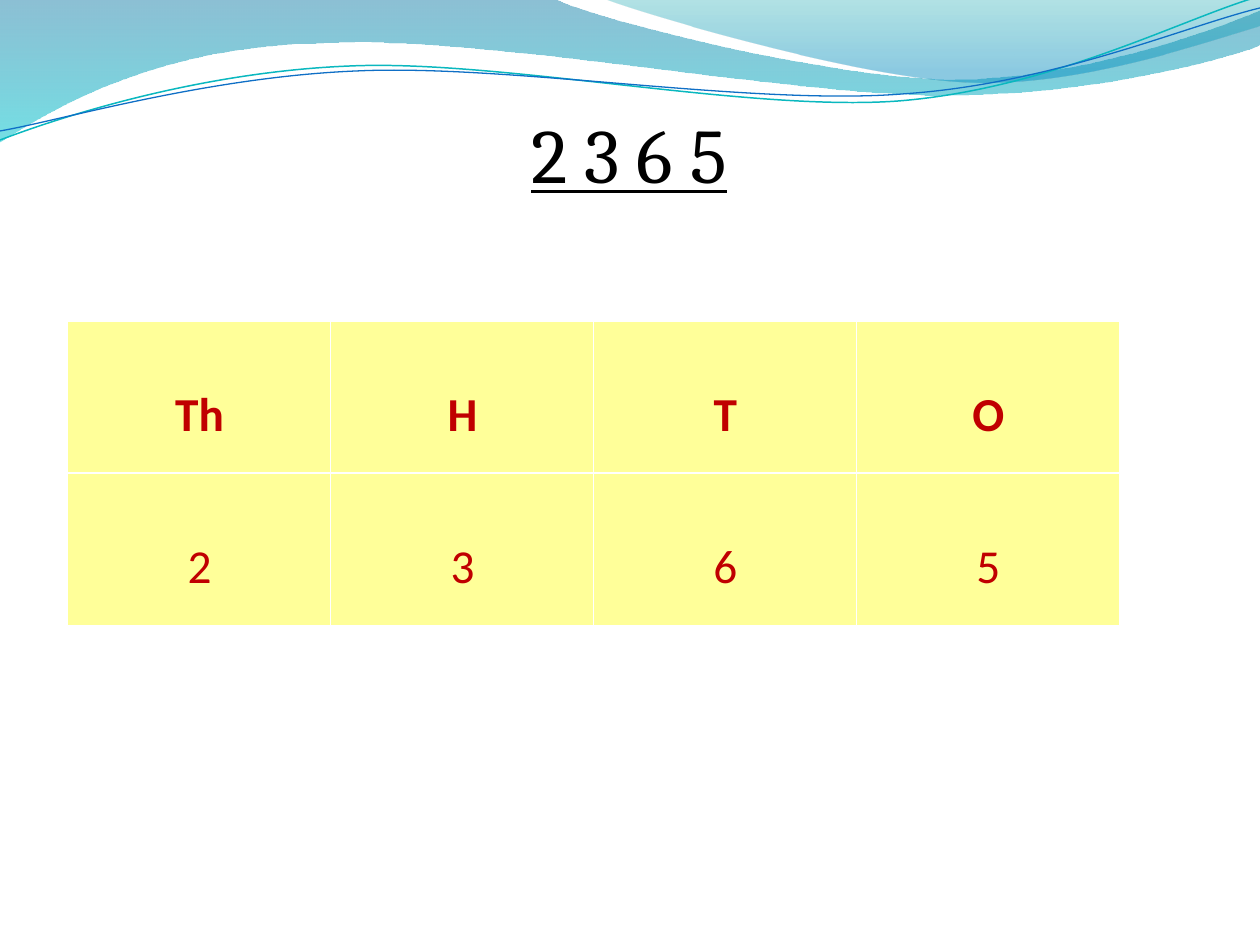
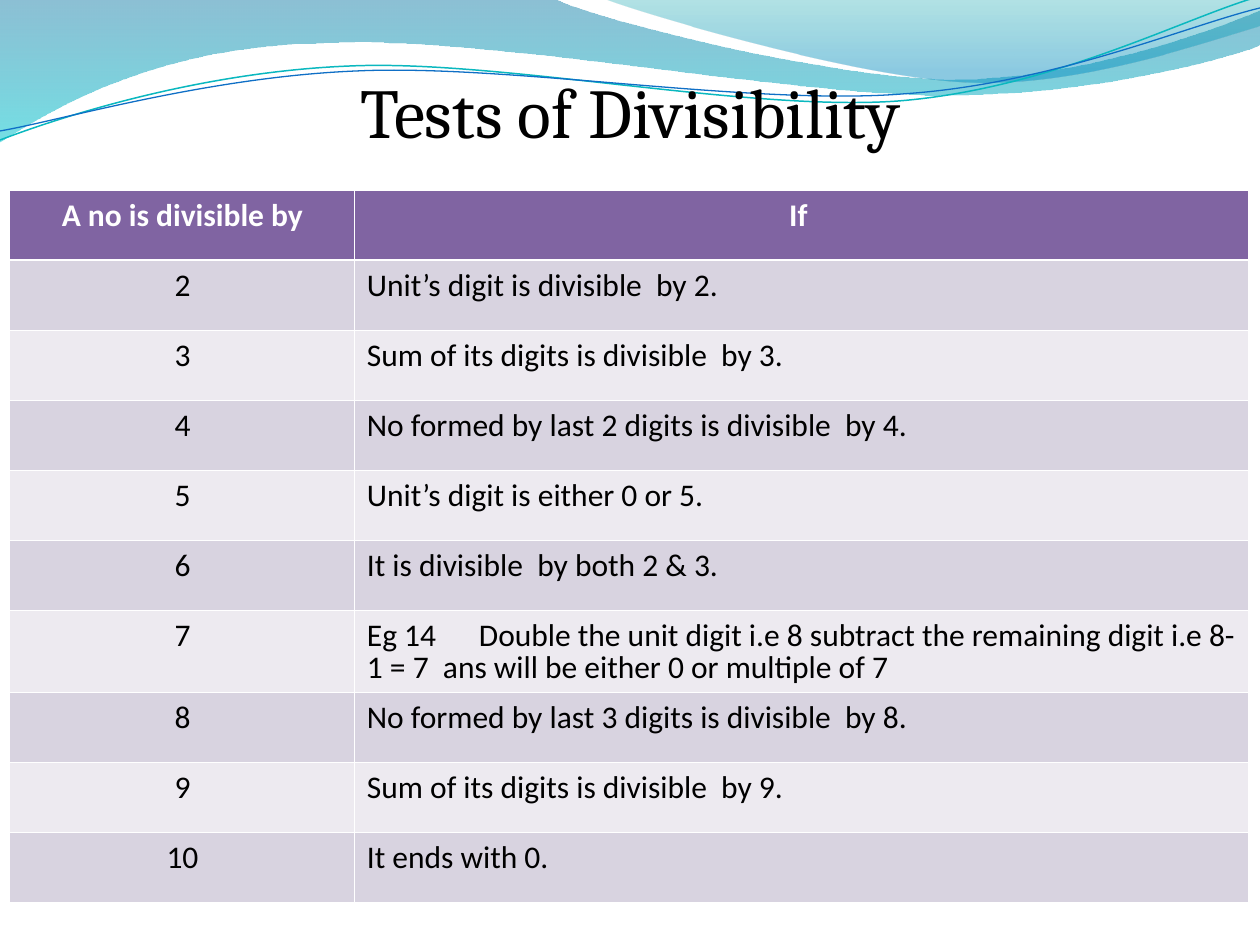
import pptx
import pptx.dml.color
import pptx.enum.text
import pptx.oxml
import pptx.oxml.ns
import pptx.util
from lxml import etree

PX = 914400 / 126  # EMU in one px
COLOURS = {
    "teal line": "0AB8BF", "blue line": "0F6FC6", "white": "FFFFFF", "black": "000000",
    "yellow": "FFFF99", "red": "C00000", "purple": "8064A2",
    "band dark": "D8D3E0", "band light": "EDEAF0",
}
ALIGN = pptx.enum.text.PP_ALIGN
MIDDLE = pptx.enum.text.MSO_ANCHOR.MIDDLE
DRAWING = pptx.oxml.ns.nsdecls("a")
qn = pptx.oxml.ns.qn

# Each step holds one end point, or two control points and an end point.
# Gradient stops are (position %, colour, opacity %).
WAVES = [
    {"start": (0, 0), "stops": [(0, "0074A1", 45), (100, "00C6CF", 55)], "steps": [
        [(554, -1)],
        [(600, 21), (837, 79), (955, 79)], [(1075, 79), (1207, 33), (1260, 11)],
        [(1261, 45)],
        [(1239, 55), (1096, 96), (940, 95)], [(784, 95), (481, 35), (324, 43)],
        [(163, 45), (58, 105), (-1, 142)]]},
    {"start": (604, -1), "stops": [(0, "00A1A9", 30), (80, "008BBF", 45)], "steps": [
        [(641, 14), (859, 78), (969, 82)], [(1079, 87), (1211, 40), (1260, 26)],
        [(1260, 0)]]},
    {"start": (0, 140), "line": ("teal line", 0.85), "steps": [
        [(60, 117), (199, 72), (349, 66)], [(498, 59), (747, 112), (898, 101)],
        [(1050, 89), (1182, 19), (1257, -3)]]},
    {"start": (0, 131), "line": ("blue line", 0.75), "steps": [
        [(59, 121), (207, 77), (357, 71)], [(508, 64), (752, 106), (903, 94)],
        [(1053, 84), (1186, 26), (1260, 8)]]},
]

# In a cell, \t goes to the tab stop and \v starts a new line.
SLIDES = [
    {"title": "2 3 6 5", "title at": (62, 74), "title font": {"size": 44, "underline": True},
     "at": (67, 321), "columns": [263] * 4, "heights": [152] * 2, "top inset": 72,
     "font size": 27, "aligns": [ALIGN.CENTER] * 4,
     "head": ("yellow", "red"), "bands": ["yellow"], "body text": "red",
     "rows": [["Th", "H", "T", "O"], ["2", "3", "6", "5"]]},
    {"title": "Tests of Divisibility", "title at": (63, 32), "title font": {"size": 40},
     "at": (9, 190), "columns": [345, 894], "heights": [70] * 6 + [82] + [70] * 3,
     "top inset": 11, "font size": 18, "aligns": [ALIGN.CENTER, ALIGN.LEFT],
     "head": ("purple", "white"), "bands": ["band dark", "band light"], "body text": "black",
     "rows": [
         ["A no is divisible by", "If "],
         ["2", "Unit’s digit is divisible  by 2."],
         ["3", "Sum of its digits is divisible  by 3."],
         ["4", "No formed by last 2 digits is divisible  by 4."],
         ["5", "Unit’s digit is either 0 or 5."],
         ["6", "It is divisible  by both 2 & 3."],
         ["7", "Eg 14\tDouble the unit digit i.e 8 subtract the remaining digit i.e 8-\v1 = 7"
               "  ans will be either 0 or multiple of 7"],
         ["8", "No formed by last 3 digits is divisible  by 8."],
         ["9", "Sum of its digits is divisible  by 9."],
         ["10", "It ends with 0."]]},
]


def px(*lengths):
    return [pptx.util.Emu(round(length * PX)) for length in lengths]


def write(para, text, colour, align, font):
    """Put formatted text in a paragraph."""
    para.alignment = align
    for i, line in enumerate(text.split("\v")):
        if i:
            para.add_line_break()
        span = para.add_run()
        span.text = line
        span.font.color.rgb = pptx.dml.color.RGBColor.from_string(COLOURS[colour])
        for name, value in font.items():
            setattr(span.font, name, pptx.util.Pt(value) if name == "size" else value)


deck = pptx.Presentation()
deck.slide_width, deck.slide_height = px(1260, 945)
layout = deck.slide_layouts[6]
for placeholder in list(layout.placeholders):
    placeholder._element.getparent().remove(placeholder._element)
pages = [deck.slides.add_slide(layout) for _ in SLIDES]

# Waves across the top, shared through the layout
waves = []
for wave in WAVES:
    builder = pages[0].shapes.build_freeform(*px(*wave["start"]))
    builder.add_line_segments([px(*point) for step in wave["steps"] for point in step],
                              close="stops" in wave)
    shape = builder.convert_to_shape()
    waves.append(shape._element)

    # Join the three points of each curved step into one Bézier segment
    segments = iter(list(shape._element.iter(qn("a:lnTo"))))
    for step in wave["steps"]:
        first, *others = [next(segments) for _ in step]
        if others:
            curve = etree.Element(qn("a:cubicBezTo"))
            first.getparent().replace(first, curve)
            for segment in (first, *others):
                curve.append(segment[0])
            for segment in others:
                segment.getparent().remove(segment)

    shape.shadow.inherit = False
    shape.fill.background()
    if "line" in wave:
        colour, width = wave["line"]
        shape.line.color.rgb = pptx.dml.color.RGBColor.from_string(COLOURS[colour])
        shape.line.width = pptx.util.Pt(width)
    else:
        shape.line.fill.background()
        stops = "".join(
            f'<a:gs pos="{place * 1000}"><a:srgbClr val="{colour}">'
            f'<a:alpha val="{opacity * 1000}"/></a:srgbClr></a:gs>'
            for place, colour, opacity in wave["stops"])
        gradient = pptx.oxml.parse_xml(
            f'<a:gradFill {DRAWING} rotWithShape="1"><a:gsLst>{stops}</a:gsLst>'
            '<a:lin ang="5400000" scaled="0"/></a:gradFill>')
        no_fill = shape._element.spPr.find(qn("a:noFill"))
        no_fill.getparent().replace(no_fill, gradient)
for element in waves:
    layout.shapes._spTree.append(element)

for page, content in zip(pages, SLIDES):
    # Table
    rows, columns, heights = content["rows"], content["columns"], content["heights"]
    frame = page.shapes.add_table(
        len(rows), len(columns), *px(*content["at"], sum(columns), sum(heights)))
    table = frame.table
    table.first_row = table.horz_banding = False
    for column, width in zip(table.columns, columns):
        column.width = px(width)[0]
    bands = content["bands"]
    for r, row in enumerate(rows):
        table.rows[r].height = px(heights[r])[0]
        fill, colour = content["head"] if r == 0 else (
            bands[(r - 1) % len(bands)], content["body text"])
        for c, text in enumerate(row):
            cell = table.cell(r, c)
            margins = {"left": 13, "right": 11, "top": content["top inset"], "bottom": 6}
            for side, inset in margins.items():
                setattr(cell, f"margin_{side}", px(inset)[0])
            properties = cell._tc.get_or_add_tcPr()
            for side in "LRTB":
                thick = (r, side) in [(0, "B"), (1, "T")]
                properties.append(pptx.oxml.parse_xml(
                    f'<a:ln{side} {DRAWING} w="{pptx.util.Pt(1.47 if thick else 0.45)}">'
                    f'<a:solidFill><a:srgbClr val="{COLOURS["white"]}"/></a:solidFill>'
                    f'</a:ln{side}>'))
            cell.fill.solid()
            cell.fill.fore_color.rgb = pptx.dml.color.RGBColor.from_string(COLOURS[fill])
            para = cell.text_frame.paragraphs[0]
            para.line_spacing = 0.83
            align = ALIGN.CENTER if r == 0 else content["aligns"][c]
            write(para, text, colour, align,
                  {"name": "Calibri", "size": content["font size"], "bold": r == 0})
            if "\t" in text:
                tabs = etree.SubElement(para._p.get_or_add_pPr(), qn("a:tabLst"))
                etree.SubElement(tabs, qn("a:tab"), pos=str(px(112)[0]), algn="l")

    # Title
    box = page.shapes.add_textbox(*px(*content["title at"], 1134, 158))
    box.text_frame.word_wrap = True
    box.text_frame.vertical_anchor = MIDDLE
    write(box.text_frame.paragraphs[0], content["title"], "black", ALIGN.CENTER,
          {"name": "Cambria", **content["title font"]})

deck.save("out.pptx")
